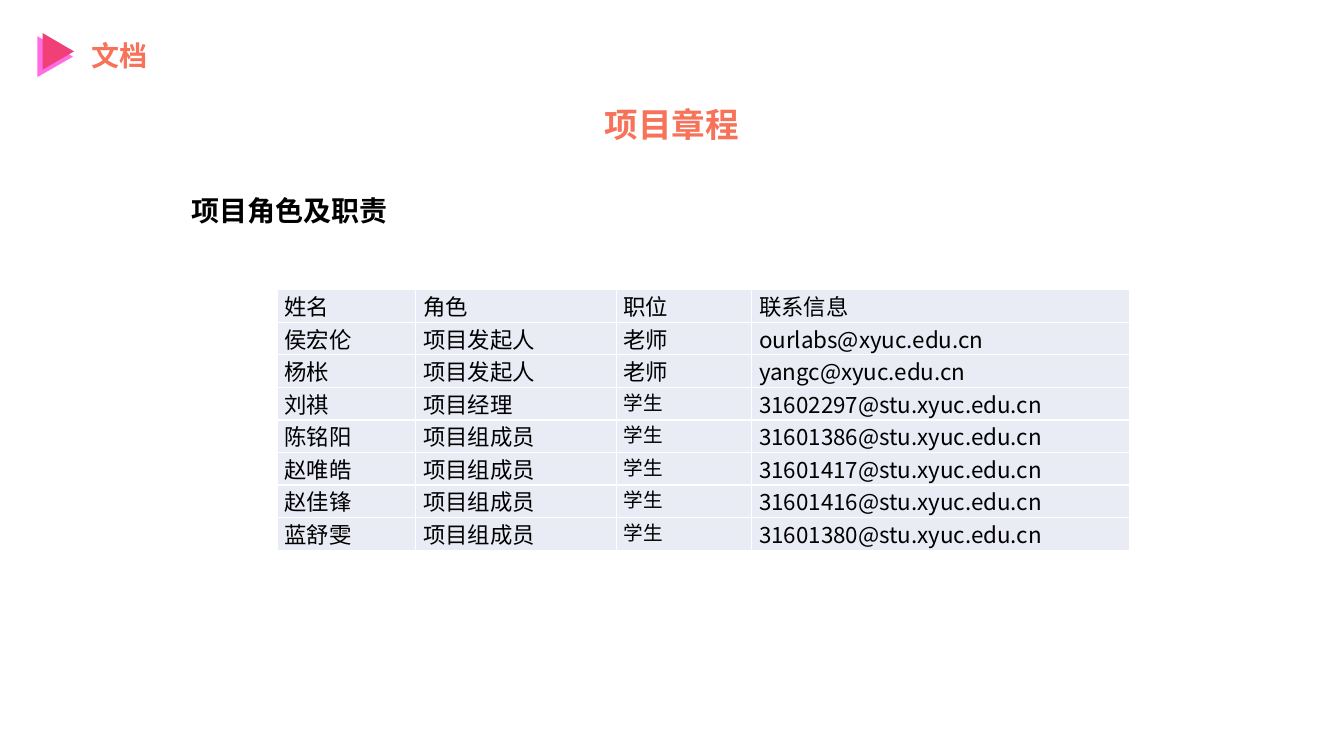
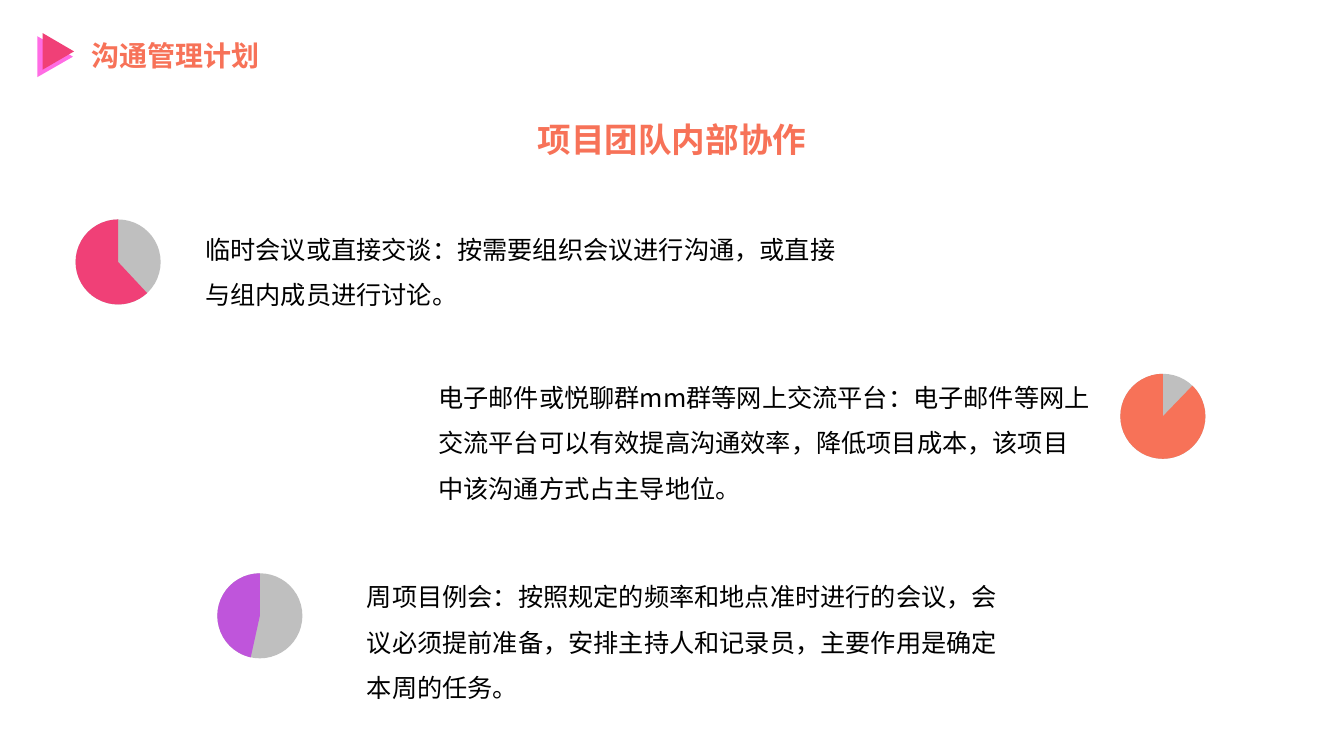
from dataclasses import dataclass
from typing import Any

from lxml import etree
from pptx import Presentation
from pptx.dml.color import RGBColor
from pptx.enum.shapes import MSO_SHAPE
from pptx.enum.text import MSO_AUTO_SIZE, PP_ALIGN
from pptx.oxml.ns import qn
from pptx.util import Pt

TRIANGLE = MSO_SHAPE.ISOSCELES_TRIANGLE
OVAL = MSO_SHAPE.OVAL
PIE = MSO_SHAPE.PIE
LEFT, CENTER = PP_ALIGN.LEFT, PP_ALIGN.CENTER
GROW = MSO_AUTO_SIZE.SHAPE_TO_FIT_TEXT

EMU_PER_PX = 9525
BLANK_LAYOUT = 6
PIE_UNITS_PER_DEGREE = 0.6


@dataclass(frozen=True)
class Theme:
    font: str = "Noto Sans CJK SC"
    coral: str = "F77258"
    pink: str = "F04077"
    magenta: str = "FF6CE4"
    purple: str = "BF55DB"
    gray: str = "BFBFBF"
    black: str = "000000"
    white: str = "FFFFFF"
    cell: str = "E9EBF5"
    title_size: int = 24
    heading_size: int = 20
    body_size: int = 18
    table_size: int = 16
    small_size: int = 14
    border_width: int = 1


@dataclass(frozen=True)
class Box:
    left: int
    top: int
    width: int
    height: int

    def emu(self) -> tuple[int, ...]:
        return tuple(map(px, (self.left, self.top, self.width, self.height)))


@dataclass(frozen=True)
class Channel:
    text: str
    text_box: Box
    pie_left: int
    pie_top: int
    start_degrees: float
    color: str


THEME = Theme()
SLIDE_WIDTH, SLIDE_HEIGHT = 1280, 720
PIE_SIZE = 81
TABLE_LEFT, TABLE_TOP = 264, 276
COLUMN_WIDTHS = (132, 191, 129, 360)
ROW_HEIGHT = 31
CELL_INSET = 7

MAIL_DOMAIN = "xyuc.edu.cn"
STUDENT = "学生"
TEAM_ROWS = (
    ("姓名", "角色", "职位", "联系信息"),
    ("侯宏伦", "项目发起人", "老师", f"ourlabs@{MAIL_DOMAIN}"),
    ("杨枨", "项目发起人", "老师", f"yangc@{MAIL_DOMAIN}"),
    ("刘祺", "项目经理", STUDENT, f"31602297@stu.{MAIL_DOMAIN}"),
    ("陈铭阳", "项目组成员", STUDENT, f"31601386@stu.{MAIL_DOMAIN}"),
    ("赵唯皓", "项目组成员", STUDENT, f"31601417@stu.{MAIL_DOMAIN}"),
    ("赵佳锋", "项目组成员", STUDENT, f"31601416@stu.{MAIL_DOMAIN}"),
    ("蓝舒雯", "项目组成员", STUDENT, f"31601380@stu.{MAIL_DOMAIN}"),
)

CHANNELS = (
    Channel(
        "临时会议或直接交谈：按需要组织会议进行沟通，或直接与组内成员进行讨论。",
        Box(186, 204, 640, 92), 72, 209, 46.97, THEME.pink,
    ),
    Channel(
        "电子邮件或悦聊群mm群等网上交流平台：电子邮件等网上交流平台可以有效提高沟通效率，"
        "降低项目成本，该项目中该沟通方式占主导地位。",
        Box(408, 345, 640, 140), 1067, 356, 313.94, THEME.coral,
    ),
    Channel(
        "周项目例会：按照规定的频率和地点准时进行的会议，会议必须提前准备，"
        "安排主持人和记录员，主要作用是确定本周的任务。",
        Box(340, 535, 640, 135), 207, 546, 102.38, THEME.purple,
    ),
)


def px(value: int) -> int:
    return value * EMU_PER_PX


def write_text(frame: Any, text: str, *, size: int, color: str = THEME.black,
               bold: bool = False, align: PP_ALIGN = LEFT, spacing: float = 1.0) -> None:
    para = frame.paragraphs[0]
    para.alignment = align
    para.line_spacing = spacing
    span = para.add_run()
    span.text = text
    span.font.size = Pt(size)
    span.font.bold = bold
    span.font.color.rgb = RGBColor.from_string(color)
    span.font.name = THEME.font
    etree.SubElement(span.font._element, qn("a:ea"), typeface=THEME.font)


def add_text(page: Any, box: Box, text: str, *, wrap: bool = True, **text_format: Any) -> None:
    frame = page.shapes.add_textbox(*box.emu()).text_frame
    frame.word_wrap = wrap
    frame.auto_size = GROW
    write_text(frame, text, **text_format)


def add_filled(shapes: Any, kind: MSO_SHAPE, box: Box, color: str) -> Any:
    shape = shapes.add_shape(kind, *box.emu())
    shape.shadow.inherit = False
    shape.fill.solid()
    shape.fill.fore_color.rgb = RGBColor.from_string(color)
    shape.line.fill.background()
    return shape


def add_page(deck: Any, chapter: str, title: str, title_top: int) -> Any:
    page = deck.slides.add_slide(deck.slide_layouts[BLANK_LAYOUT])
    add_text(page, Box(78, 32, 213, 42), chapter,
             size=THEME.heading_size, color=THEME.coral, bold=True)
    marker = page.shapes.add_group_shape()
    for box, color in ((Box(33, 37, 39, 34), THEME.magenta), (Box(38, 34, 35, 30), THEME.pink)):
        add_filled(marker.shapes, TRIANGLE, box, color).rotation = 90
    add_text(page, Box(454, title_top, 372, 48), title,
             size=THEME.title_size, color=THEME.coral, bold=True, align=CENTER)
    return page


def style_cell(cell: Any) -> None:
    cell.margin_left = cell.margin_right = px(CELL_INSET)
    cell.margin_top = cell.margin_bottom = 0
    properties = cell._tc.get_or_add_tcPr()
    for side in ("lnL", "lnR", "lnT", "lnB"):
        line = etree.SubElement(properties, qn(f"a:{side}"), w=str(Pt(THEME.border_width)))
        fill = etree.SubElement(line, qn("a:solidFill"))
        etree.SubElement(fill, qn("a:srgbClr"), val=THEME.white)
    cell.fill.solid()
    cell.fill.fore_color.rgb = RGBColor.from_string(THEME.cell)


def add_team_table(page: Any) -> None:
    box = Box(TABLE_LEFT, TABLE_TOP, sum(COLUMN_WIDTHS), ROW_HEIGHT * len(TEAM_ROWS))
    table = page.shapes.add_table(len(TEAM_ROWS), len(COLUMN_WIDTHS), *box.emu()).table
    table.first_row = table.horz_banding = False
    for column, width in zip(table.columns, COLUMN_WIDTHS):
        column.width = px(width)
    for row, texts in zip(table.rows, TEAM_ROWS):
        row.height = px(ROW_HEIGHT)
        for cell, text in zip(row.cells, texts):
            style_cell(cell)
            size = THEME.small_size if text == STUDENT else THEME.table_size
            write_text(cell.text_frame, text, size=size)


def add_channel(page: Any, channel: Channel) -> None:
    box = Box(channel.pie_left, channel.pie_top, PIE_SIZE, PIE_SIZE)
    add_filled(page.shapes, OVAL, box, THEME.gray)
    pie = add_filled(page.shapes, PIE, box, channel.color)
    for index, degrees in enumerate((channel.start_degrees, 270)):
        pie.adjustments[index] = degrees * PIE_UNITS_PER_DEGREE
    add_text(page, channel.text_box, channel.text, size=THEME.body_size, spacing=1.5)


def build_charter(deck: Any) -> None:
    page = add_page(deck, "文档", "项目章程", 94)
    add_team_table(page)
    add_text(page, Box(173, 180, 208, 42), "项目角色及职责",
             size=THEME.heading_size, bold=True, wrap=False)


def build_communication(deck: Any) -> None:
    page = add_page(deck, "沟通管理计划", "项目团队内部协作", 109)
    for channel in CHANNELS:
        add_channel(page, channel)


def main() -> None:
    deck = Presentation()
    deck.slide_width, deck.slide_height = px(SLIDE_WIDTH), px(SLIDE_HEIGHT)
    build_charter(deck)
    build_communication(deck)
    deck.save("out.pptx")


if __name__ == "__main__":
    main()
